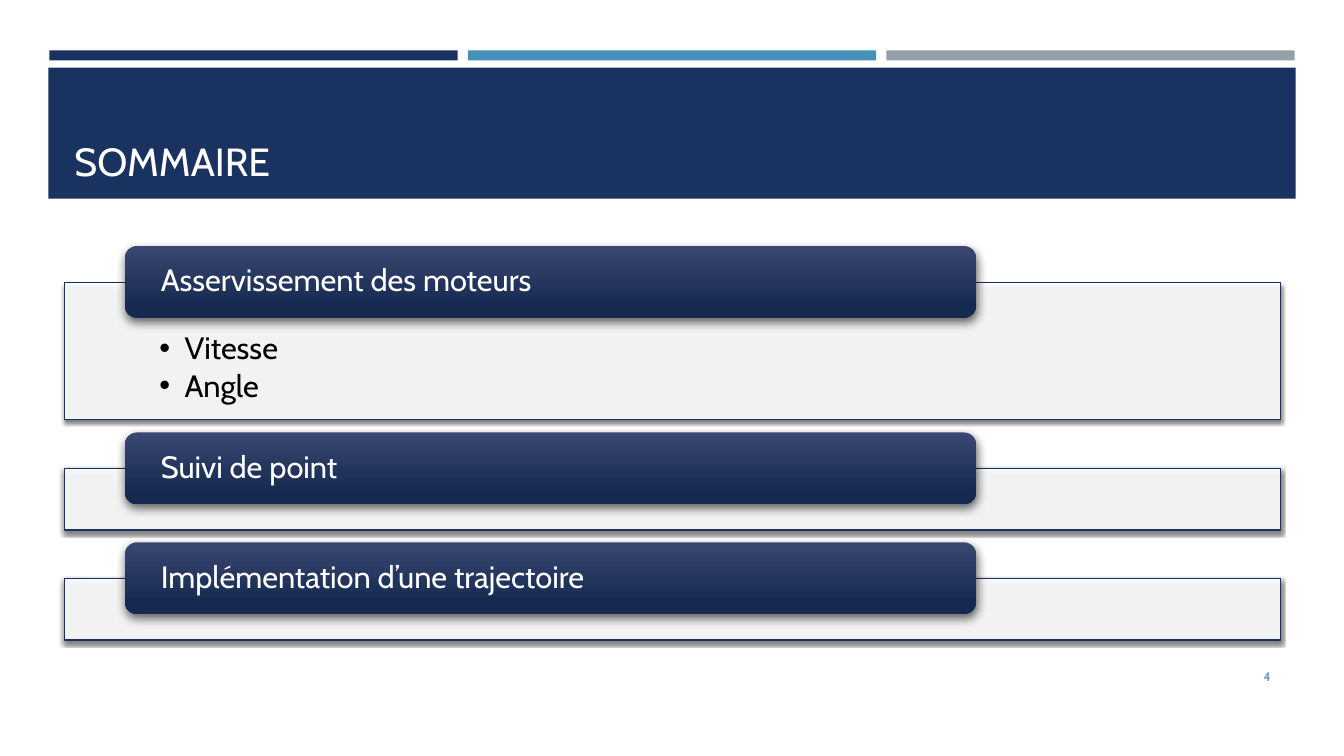
from dataclasses import dataclass

from lxml.etree import SubElement
from pptx import Presentation
from pptx.dml.color import RGBColor
from pptx.enum.shapes import MSO_SHAPE as Preset
from pptx.enum.text import MSO_ANCHOR as Anchor, PP_ALIGN as Align
from pptx.oxml.ns import qn
from pptx.shapes.autoshape import Shape
from pptx.slide import Slide
from pptx.text.text import TextFrame, _Paragraph as Paragraph
from pptx.util import Inches, Pt

NAVY = RGBColor(0x1A, 0x32, 0x60)
BLUE = RGBColor(0x45, 0x90, 0xB8)
GRAY = RGBColor(0x96, 0x9F, 0xA7)
TAB_TOP = RGBColor(0x39, 0x47, 0x71)
TAB_BOTTOM = RGBColor(0x16, 0x2A, 0x51)
WHITE = RGBColor(0xFF, 0xFF, 0xFF)
BLACK = RGBColor(0x00, 0x00, 0x00)
FONT = "Cabin"

MARGIN, CONTENT_WIDTH = 0.64, 12.06
TAB_HEIGHT = 0.71
TAB_RISE = 0.36  # how far a tab stands above its panel


@dataclass(frozen=True)
class Section:
    heading: str
    panel_top: float
    panel_height: float
    points: tuple[str, ...] = ()


@dataclass(frozen=True)
class Shadow:
    opacity: int
    blur: float
    distance: float
    angle: int


SECTIONS = (
    Section("Asservissement des moteurs", 2.8, 1.36, ("Vitesse", "Angle")),
    Section("Suivi de point", 4.65, 0.61),
    Section("Implémentation d’une trajectoire", 5.74, 0.61),
)
PANEL_SHADOW = Shadow(55, 3, 2, 90)
TAB_SHADOW = Shadow(60, 7, 3, 84)


def add_box(slide: Slide, preset: Preset, left: float, top: float,
            width: float, height: float) -> Shape:
    """Add a preset shape without line or shadow."""
    box = slide.shapes.add_shape(
        preset, Inches(left), Inches(top), Inches(width), Inches(height))
    box.shadow.inherit = False
    box.line.fill.background()
    return box


def add_bar(slide: Slide, left: float, top: float, width: float,
            height: float, color: RGBColor) -> None:
    bar = add_box(slide, Preset.RECTANGLE, left, top, width, height)
    bar.fill.solid()
    bar.fill.fore_color.rgb = color


def cast_shadow(box: Shape, shadow: Shadow) -> None:
    effects = box._element.spPr.find(qn("a:effectLst"))
    outer = SubElement(
        effects, qn("a:outerShdw"), blurRad=str(Pt(shadow.blur)),
        dist=str(Pt(shadow.distance)), dir=str(shadow.angle * 60000),
        algn="ctr", rotWithShape="0")
    color = SubElement(outer, qn("a:srgbClr"), val=str(BLACK))
    SubElement(color, qn("a:alpha"), val=str(shadow.opacity * 1000))


def set_frame(frame: TextFrame, anchor: Anchor, side: float = 0.1,
              top: float = 0.05, bottom: float = 0.05) -> None:
    frame.word_wrap = True
    frame.vertical_anchor = anchor
    frame.margin_left = frame.margin_right = Inches(side)
    frame.margin_top, frame.margin_bottom = Inches(top), Inches(bottom)


def write(paragraph: Paragraph, text: str, size: float, color: RGBColor,
          align: Align = Align.LEFT) -> None:
    paragraph.alignment = align
    run = paragraph.add_run()
    run.text = text
    run.font.name = FONT
    run.font.size = Pt(size)
    run.font.color.rgb = color


def add_label(slide: Slide, left: float, top: float, width: float,
              height: float, anchor: Anchor, text: str, size: float,
              color: RGBColor, align: Align = Align.LEFT) -> None:
    label = slide.shapes.add_textbox(
        Inches(left), Inches(top), Inches(width), Inches(height))
    set_frame(label.text_frame, anchor)
    write(label.text_frame.paragraphs[0], text, size, color, align)


def set_bullet(paragraph: Paragraph) -> None:
    properties = paragraph._p.get_or_add_pPr()
    properties.set("marL", str(Inches(0.25)))
    properties.set("indent", str(Inches(-0.25)))
    SubElement(properties, qn("a:buFont"), typeface="Arial")
    SubElement(properties, qn("a:buChar"), char="•")


def add_panel(slide: Slide, section: Section) -> None:
    panel = add_box(slide, Preset.RECTANGLE, MARGIN, section.panel_top,
                    CONTENT_WIDTH, section.panel_height)
    panel.fill.solid()
    panel.fill.fore_color.rgb = WHITE
    fill_color = panel._element.spPr.find(qn("a:solidFill")).find(qn("a:srgbClr"))
    SubElement(fill_color, qn("a:alpha"), val="90000")
    panel.line.color.rgb = NAVY
    panel.line.width = Pt(1)
    cast_shadow(panel, PANEL_SHADOW)

    frame = panel.text_frame
    set_frame(frame, Anchor.TOP, side=0.94, top=0.5, bottom=0.17)
    for index, point in enumerate(section.points):
        paragraph = frame.add_paragraph() if index else frame.paragraphs[0]
        paragraph.line_spacing = 0.9
        paragraph.space_after = Pt(3.3)
        write(paragraph, point, 22, BLACK)
        set_bullet(paragraph)


def add_tab(slide: Slide, section: Section) -> None:
    tab = add_box(slide, Preset.ROUNDED_RECTANGLE, 1.24,
                  section.panel_top - TAB_RISE, 8.44, TAB_HEIGHT)
    tab.fill.gradient()
    tab.fill.gradient_angle = 270
    stops = zip(tab.fill.gradient_stops, (0, 0.84), (TAB_TOP, TAB_BOTTOM))
    for stop, position, color in stops:
        stop.position = position
        stop.color.rgb = color
    cast_shadow(tab, TAB_SHADOW)

    set_frame(tab.text_frame, Anchor.MIDDLE, side=0.32, top=0, bottom=0)
    heading = tab.text_frame.paragraphs[0]
    heading.line_spacing = 0.9
    write(heading, section.heading, 22, WHITE)


def main() -> None:
    deck = Presentation()
    deck.slide_width, deck.slide_height = Inches(13.33), Inches(7.5)
    slide = deck.slides.add_slide(deck.slide_layouts[6])

    for column, color in enumerate((NAVY, BLUE, GRAY)):
        add_bar(slide, 0.49 + column * 4.15, 0.5, 4.05, 0.1, color)
    add_bar(slide, 0.48, 0.67, 12.37, 1.3, NAVY)
    add_label(slide, MARGIN, 0.77, CONTENT_WIDTH, 1.11, Anchor.BOTTOM,
              "SOMMAIRE", 28, WHITE)

    for section in SECTIONS:
        add_panel(slide, section)
        add_tab(slide, section)

    add_label(slide, 11.55, 6.51, 1.15, 0.4, Anchor.MIDDLE,
              "4", 9, BLUE, Align.RIGHT)
    deck.save("out.pptx")


if __name__ == "__main__":
    main()
